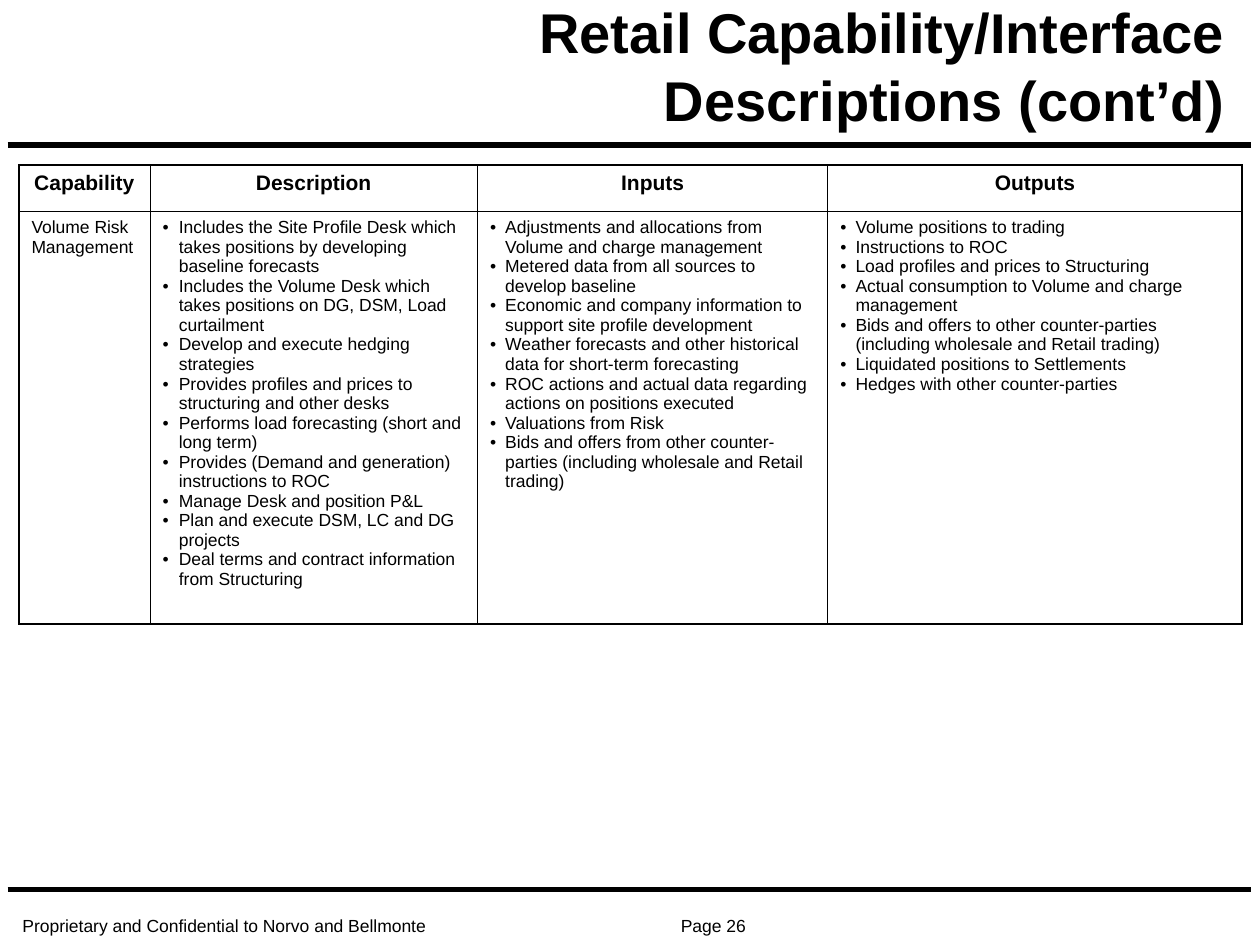
import pptx
import pptx.dml.color
import pptx.enum.shapes
import pptx.enum.text
import pptx.oxml
import pptx.oxml.ns
import pptx.util
from pptx.util import Inches

TITLE = "Retail Capability/Interface Descriptions (cont’d)"
FOOTER = "Proprietary and Confidential to Norvo and Bellmonte\tPage 26"
HEADERS = ["Capability", "Description", "Inputs", "Outputs"]
CAPABILITY = "Volume Risk Management"
DETAILS = [
    [
        "Includes the Site Profile Desk which takes positions by developing baseline forecasts",
        "Includes the Volume Desk which takes positions on DG, DSM, Load curtailment",
        "Develop and execute hedging strategies",
        "Provides profiles and prices to structuring and other desks",
        "Performs load forecasting (short and long term)",
        "Provides (Demand and generation) instructions to ROC",
        "Manage Desk and position P&L",
        "Plan and execute DSM, LC and DG projects",
        "Deal terms and contract information from Structuring",
    ],
    [
        "Adjustments and allocations from Volume and charge management",
        "Metered data from all sources to develop baseline",
        "Economic and company information to support site profile development",
        "Weather forecasts and other historical data for short-term forecasting",
        "ROC actions and actual data regarding actions on positions executed",
        "Valuations from Risk",
        "Bids and offers from other counter-parties (including wholesale and Retail trading)",
    ],
    [
        "Volume positions to trading",
        "Instructions to ROC",
        "Load profiles and prices to Structuring",
        "Actual consumption to Volume and charge management",
        "Bids and offers to other counter-parties (including wholesale and Retail trading)",
        "Liquidated positions to Settlements",
        "Hedges with other counter-parties",
    ],
]
COLUMN_WIDTHS = [1.04, 2.6, 2.78, 3.29]
ROW_HEIGHTS = [0.37, 3.27]
BULLET_INDENTS = [0.13, 0.12, 0.12]
RULE_TOPS = [1.15, 7.06]
OUTER_BORDER, INNER_BORDER = 1.08, 0.45
BLACK, WHITE = "000000", "FFFFFF"
ALIGN = pptx.enum.text.PP_ALIGN


def color(value):
    return pptx.dml.color.RGBColor.from_string(value)


def add_xml(parent, markup, index=None):
    """Add a drawing element to parent, last unless an index is given."""
    namespace = pptx.oxml.ns.nsdecls("a")
    element = pptx.oxml.parse_xml(markup.replace(">", f" {namespace}>", 1))
    parent.insert(len(parent) if index is None else index, element)


def format_text(frame, size, bold=False, align=ALIGN.LEFT):
    for para in frame.paragraphs:
        para.alignment = align
        for span in para.runs:
            span.font.name = "Arial"
            span.font.size = pptx.util.Pt(size)
            span.font.bold = bold
            span.font.color.rgb = color(BLACK)


def add_bullets(frame, indent):
    for para in frame.paragraphs:
        properties = para._p.get_or_add_pPr()
        properties.set("marL", str(Inches(indent)))
        properties.set("indent", str(-Inches(indent)))
        add_xml(properties, f'<a:buClr><a:srgbClr val="{BLACK}"/></a:buClr>')
        add_xml(properties, '<a:buFont typeface="Arial"></a:buFont>')
        add_xml(properties, '<a:buChar char="•"></a:buChar>')


def style_cell(cell, row, column):
    cell.fill.solid()
    cell.fill.fore_color.rgb = color(WHITE)
    cell.margin_left = cell.margin_right = Inches(0.1)
    cell.margin_top = cell.margin_bottom = Inches(0.05)
    outer_sides = {
        "L": column == 0,
        "R": column == len(COLUMN_WIDTHS) - 1,
        "T": row == 0,
        "B": row == len(ROW_HEIGHTS) - 1,
    }
    for index, (side, outer) in enumerate(outer_sides.items()):
        width = pptx.util.Pt(OUTER_BORDER if outer else INNER_BORDER)
        add_xml(
            cell._tc.get_or_add_tcPr(),
            f'<a:ln{side} w="{width}"><a:solidFill><a:srgbClr val="{BLACK}"/>'
            f"</a:solidFill></a:ln{side}>",
            index,
        )


def add_rule(page, top):
    rule = page.shapes.add_connector(
        pptx.enum.shapes.MSO_CONNECTOR.STRAIGHT,
        Inches(0.06), Inches(top), Inches(9.93), Inches(top),
    )
    rule.line.color.rgb = color(BLACK)
    rule.line.width = pptx.util.Pt(3)
    add_xml(rule._element.spPr, "<a:effectLst></a:effectLst>")


def add_title(page):
    title = page.shapes.title
    title.left, title.top = Inches(2.81), Inches(0.39)
    title.width, title.height = Inches(7.01), Inches(0.71)
    frame = title.text_frame
    frame.text = TITLE
    frame.word_wrap = True
    frame.auto_size = pptx.enum.text.MSO_AUTO_SIZE.NONE
    frame.vertical_anchor = pptx.enum.text.MSO_ANCHOR.BOTTOM
    format_text(frame, 32, True, ALIGN.RIGHT)


def add_footer(page):
    box = page.shapes.add_textbox(Inches(0.08), Inches(7.25), Inches(6.08), Inches(0.23))
    frame = box.text_frame
    frame.word_wrap = True
    frame.vertical_anchor = pptx.enum.text.MSO_ANCHOR.BOTTOM
    para = frame.paragraphs[0]
    para.text = FOOTER
    para.line_spacing = 0.8
    tab = f'<a:tab pos="{Inches(5.74)}" algn="r"/>'
    add_xml(para._p.get_or_add_pPr(), f"<a:tabLst>{tab}</a:tabLst>")
    format_text(frame, 10)


def add_capability_table(page):
    table = page.shapes.add_table(
        len(ROW_HEIGHTS), len(COLUMN_WIDTHS), Inches(0.15), Inches(1.31),
        Inches(sum(COLUMN_WIDTHS)), Inches(sum(ROW_HEIGHTS)),
    ).table
    table.first_row = table.horz_banding = False
    for column, width in zip(table.columns, COLUMN_WIDTHS):
        column.width = Inches(width)
    for row, height in zip(table.rows, ROW_HEIGHTS):
        row.height = Inches(height)

    contents = [HEADERS, [CAPABILITY] + ["\n".join(items) for items in DETAILS]]
    for row, texts in enumerate(contents):
        for column, text in enumerate(texts):
            cell = table.cell(row, column)
            style_cell(cell, row, column)
            frame = cell.text_frame
            frame.text = text
            if row == 0:
                format_text(frame, 12, True, ALIGN.CENTER)
                continue
            if column > 0:
                add_bullets(frame, BULLET_INDENTS[column - 1])
            format_text(frame, 10)


def main():
    deck = pptx.Presentation()
    deck.slide_width, deck.slide_height = Inches(10), Inches(7.5)
    page = deck.slides.add_slide(deck.slide_layouts[5])
    add_footer(page)
    for top in RULE_TOPS:
        add_rule(page, top)
    add_title(page)
    add_capability_table(page)
    deck.save("out.pptx")


if __name__ == "__main__":
    main()
